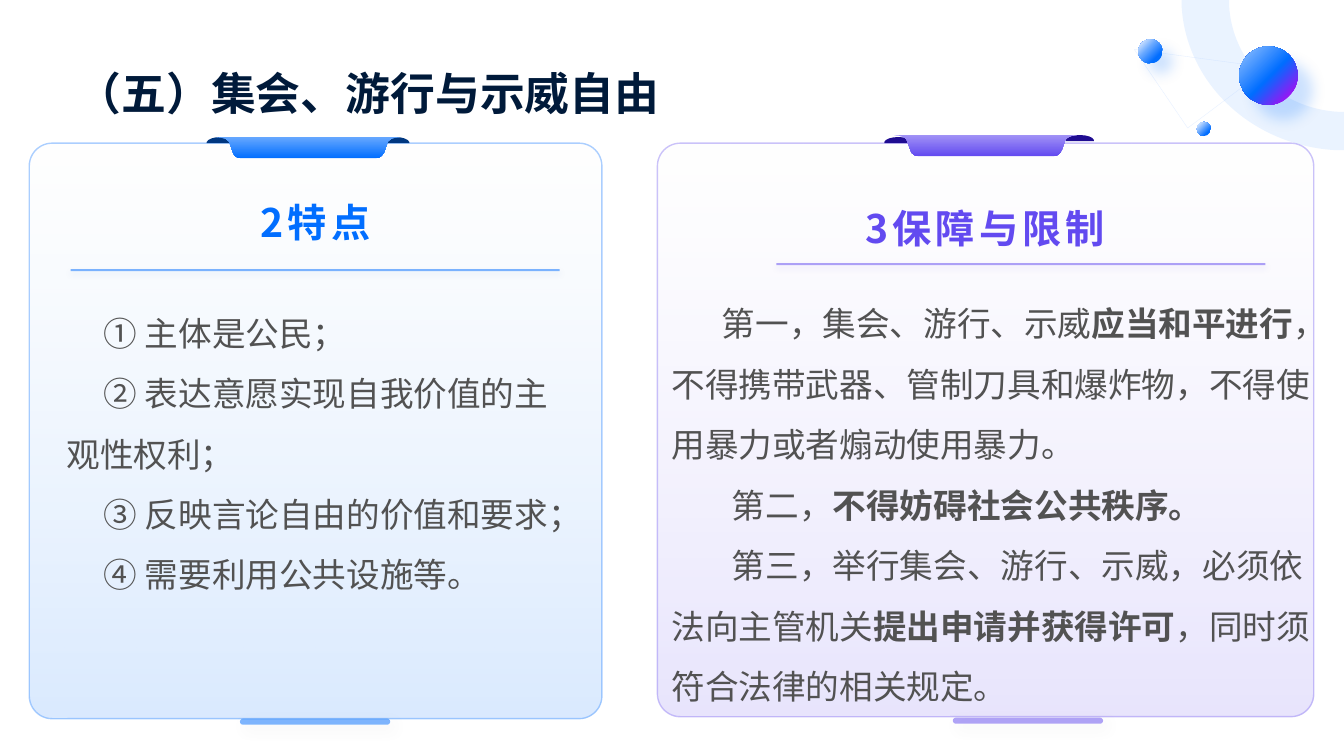
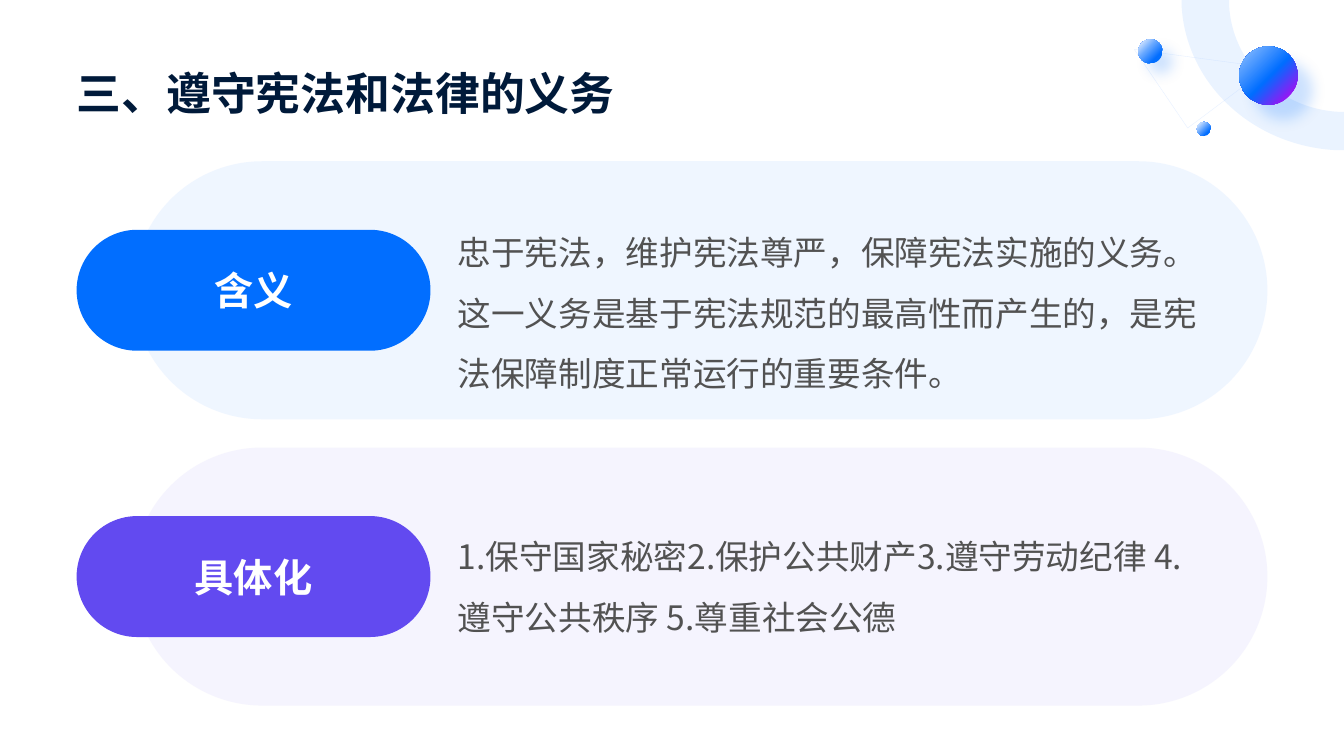
from dataclasses import dataclass

from lxml.etree import SubElement
from pptx import Presentation
from pptx.dml.color import RGBColor
from pptx.enum.shapes import MSO_CONNECTOR, MSO_SHAPE
from pptx.enum.text import MSO_ANCHOR, PP_ALIGN
from pptx.oxml import parse_xml
from pptx.oxml.ns import nsdecls, qn
from pptx.util import Inches, Pt

PX = 9144  # one px is a hundredth of an inch


@dataclass(frozen=True)
class Theme:
    page: str = "F7FAFF"
    white: str = "FFFFFF"
    title: str = "001A3A"
    body: str = "525252"
    grey: str = "808080"
    blue: str = "016EFF"
    blue_mid: str = "67A8FF"
    blue_soft: str = "99C5FF"
    blue_pale: str = "CCE2FF"
    blue_dark: str = "003780"
    blue_shade: str = "0052C0"
    violet: str = "624AF0"
    violet_mid: str = "A192F6"
    violet_pale: str = "E0DBFC"
    violet_dark: str = "1F0C91"
    violet_shade: str = "2F12D9"
    magenta: str = "9618F4"
    font: str = "Noto Sans CJK SC"
    title_font: str = "Arial"
    title_size: int = 32
    head_size: int = 28
    body_size: int = 24


T = Theme()


def shape(s, kind, box, fill=(), radial=False, line=None, shadow=None, adj=None):
    """Add a shape. kind: preset, connector, outline or None for a text box.
    fill: (position, colour, alpha) stops; line: (colour, points, alpha);
    shadow: (colour, alpha, blur, distance, angle). An outline is a list of
    points and six-number curves, placed at the corner given by box."""
    emu = [v * PX for v in box]
    if kind is None:
        return s.shapes.add_textbox(*emu)
    if isinstance(kind, list):
        segs = [[(x * PX + emu[0], y * PX + emu[1]) for x, y in zip(seg[::2], seg[1::2])]
                for seg in kind]
        ends = [seg[-1] for seg in segs]
        builder = s.shapes.build_freeform(*ends[0], scale=1.0)
        sp = builder.add_line_segments(ends[1:], close=True).convert_to_shape()
        # Turn the six-number segments into true curves
        for node, seg in zip(list(sp._element.iter(qn("a:lnTo"))), segs[1:]):
            if len(seg) == 3:
                node.tag = qn("a:cubicBezTo")
                node.remove(node[0])
                for x, y in seg:
                    SubElement(node, qn("a:pt"), x=str(x - sp.left), y=str(y - sp.top))
    elif kind == MSO_CONNECTOR.STRAIGHT:
        sp = s.shapes.add_connector(kind, *emu)
    else:
        sp = s.shapes.add_shape(kind, *emu)
        if adj is not None:
            sp.adjustments[0] = adj
    props = sp._element.spPr

    # Fill
    if kind != MSO_CONNECTOR.STRAIGHT:
        sp.fill.background()
        stops = [(pos, f'<a:srgbClr val="{c}"><a:alpha val="{a * 1000}"/></a:srgbClr>')
                 for pos, c, a in fill]
        if len(stops) == 1:
            xml = f'<a:solidFill {nsdecls("a")}>{stops[0][1]}</a:solidFill>'
        elif stops:
            way = ('<a:path path="circle"><a:fillToRect r="100000" b="100000"/></a:path>'
                   if radial else '<a:lin ang="5400000" scaled="0"/>')
            gs = "".join(f'<a:gs pos="{pos * 1000}">{c}</a:gs>' for pos, c in stops)
            xml = f'<a:gradFill {nsdecls("a")}><a:gsLst>{gs}</a:gsLst>{way}</a:gradFill>'
        if stops:
            props.replace(props.find(qn("a:noFill")), parse_xml(xml))

    # Line
    if line:
        color, width, alpha = line
        sp.line.color.rgb = RGBColor.from_string(color)
        sp.line.width = Pt(width)
        clr = props.find(qn("a:ln")).find(".//" + qn("a:srgbClr"))
        SubElement(clr, qn("a:alpha"), val=str(alpha * 1000))
    else:
        sp.line.fill.background()

    # Shadow
    effects = SubElement(props, qn("a:effectLst"))
    if shadow:
        color, alpha, blur, dist, angle = shadow
        outer = SubElement(effects, qn("a:outerShdw"), blurRad=str(Pt(blur)),
                           dist=str(Pt(dist)), dir=str(angle * 60000),
                           algn="ctr", rotWithShape="0")
        clr = SubElement(outer, qn("a:srgbClr"), val=color)
        SubElement(clr, qn("a:alpha"), val=str(alpha * 1000))
    return sp


def text(sp, *paras, size=T.body_size, color=T.body, font=T.font, bold=False,
         align=PP_ALIGN.LEFT, anchor=MSO_ANCHOR.TOP, top=0, spacing=None,
         tracking=0, indents=()):
    """Write paragraphs into a shape; parts between ** marks are bold."""
    tf = sp.text_frame
    tf.word_wrap = True
    tf.vertical_anchor = anchor
    tf.margin_left = tf.margin_right = tf.margin_bottom = 0
    tf.margin_top = top * PX
    for i, para in enumerate(paras):
        p = tf.add_paragraph() if i else tf.paragraphs[0]
        p.alignment = align
        if spacing:
            p.line_spacing = spacing
        if indents:
            p._p.get_or_add_pPr().set("indent", str(indents[i] * PX))
        for j, part in enumerate(para.split("**")):
            if not part:
                continue
            r = p.add_run()
            r.text = part
            r.font.size = Pt(size)
            r.font.bold = bold or j % 2 == 1
            r.font.name = font
            r.font.color.rgb = RGBColor.from_string(color)
            rpr = r._r.get_or_add_rPr()
            rpr.set("lang", "zh-CN")
            SubElement(rpr, qn("a:ea"), typeface=T.font)
            if tracking:
                rpr.set("spc", str(tracking * 100))


prs = Presentation()
prs.slide_width, prs.slide_height = Inches(13.33), Inches(7.5)

# Shared corner ornament
triangle = [(1125, 49), (1258, 67), (1178, 127)]
ring = [(1172, 0), (1219, 0), (1219, 5), (1222, 62, 1269, 108, 1328, 111),
        (1333, 111), (1333, 149), (1326, 149), (1243, 145, 1177, 84, 1172, 7)]
balls = [
    ((1229, 46, 58, 58), ((0, T.blue_soft, 100), (52, T.blue, 100), (85, T.magenta, 100)),
     (T.blue, 20, 10, 15, 45)),
    ((1129, 39, 24, 24), ((12, T.blue_pale, 100), (40, T.blue_mid, 100), (75, T.blue, 100)),
     (T.blue, 20, 10, 10, 45)),
    ((1187, 121, 14, 14), ((13, T.blue_pale, 100), (75, T.blue, 100)), None),
]

# Slides with backdrop, ornament and title
slides = []
for title in ("（五）集会、游行与示威自由", "三、遵守宪法和法律的义务"):
    s = prs.slides.add_slide(prs.slide_layouts[6])
    shape(s, MSO_SHAPE.RECTANGLE, (0, 0, 1333, 750), fill=((0, T.page, 100),))
    shape(s, triangle, (0, 0), line=(T.blue_pale, 0.25, 50))
    shape(s, ring, (0, 0), fill=((0, T.blue_soft, 20),))
    for box, stops, shadow in balls:
        shape(s, MSO_SHAPE.OVAL, box, fill=stops, radial=True, shadow=shadow)
    text(shape(s, None, (76, 39, 1181, 79)), title, size=T.title_size, color=T.title,
         font=T.title_font, bold=True, anchor=MSO_ANCHOR.BOTTOM)
    slides.append(s)

# Slide 1: two clipped cards
ear = [(14, 0), (21, 0, 27, 2, 28, 5), (28, 6), (0, 6), (0, 5), (1, 2, 7, 0, 14, 0)]
tab = [(0, 0), (181, 0), (183, 1, 174, -1, 170, 4), (166, 15),
       (164, 19, 161, 21, 157, 21), (25, 21), (21, 21, 17, 19, 16, 15),
       (12, 4), (8, -1, -2, 1, 0, 0)]
cards = [
    dict(card=(29, 142, 568, 571), ears=((205, 136), (378, 136)), tab=(215, 136),
         foot=(238, 713, 149, 6), head=(66, 184, 494, 72), rule=(70, 268, 555, 268),
         body=(66, 280, 494, 397), title="2特点", indents=(37, 37, 37, 37),
         colors=(T.blue, T.blue_mid, T.blue_dark, T.blue_shade),
         paras=("① 主体是公民；", "② 表达意愿实现自我价值的主观性权利；",
                "③ 反映言论自由的价值和要求；", "④ 需要利用公共设施等。")),
    dict(card=(652, 142, 651, 569), ears=((877, 136), (1057, 134)), tab=(887, 134),
         foot=(945, 712, 149, 6), head=(729, 195, 496, 62), rule=(770, 262, 1255, 262),
         body=(666, 271, 637, 434), title="3保障与限制", indents=(50, 60, 60),
         colors=(T.violet, T.violet_mid, T.violet_dark, T.violet_shade),
         paras=("第一，集会、游行、示威**应当和平进行**，不得携带武器、管制刀具和爆炸物，"
                "不得使用暴力或者煽动使用暴力。",
                "第二，**不得妨碍社会公共秩序。**",
                "第三，举行集会、游行、示威，必须依法向主管机关**提出申请并获得许可**，"
                "同时须符合法律的相关规定。")),
]
s = slides[0]
for c in cards:
    main, mid, dark, shade = c["colors"]
    shape(s, MSO_SHAPE.ROUNDED_RECTANGLE, c["card"], adj=0.04, line=(mid, 1, 55),
          fill=((0, T.white, 10), (100, main, 15)))
    for corner in c["ears"]:
        shape(s, ear, corner, fill=((0, dark, 100),))
    shape(s, tab, c["tab"], fill=((0, mid, 100), (100, main, 100)))
    shape(s, MSO_SHAPE.ROUNDED_RECTANGLE, c["foot"], adj=0.5, fill=((0, main, 50),),
          shadow=(T.grey, 15, 10, 5, 50))
    text(shape(s, None, c["body"]), *c["paras"], top=10, spacing=1.5, indents=c["indents"])
    text(shape(s, None, c["head"]), c["title"], size=T.head_size, color=main, bold=True,
         tracking=3, align=PP_ALIGN.CENTER, anchor=MSO_ANCHOR.MIDDLE)
    shape(s, MSO_CONNECTOR.STRAIGHT, c["rule"], line=(main, 1.5, 50),
          shadow=(shade, 16, 4, 2, 90))

# Slide 2: two labelled bands
bands = [
    ("含义", T.blue, T.blue_pale, 167,
     "忠于宪法，维护宪法尊严，保障宪法实施的义务。这一义务是基于宪法规范的最高性而产生的，"
     "是宪法保障制度正常运行的重要条件。"),
    ("具体化", T.violet, T.violet_pale, 142,
     "1.保守国家秘密2.保护公共财产3.遵守劳动纪律 4.遵守公共秩序 5.尊重社会公德"),
]
s = slides[1]
for i, (label, color, pale, height, body) in enumerate(bands):
    y = 160 + 284 * i
    shape(s, MSO_SHAPE.ROUNDED_RECTANGLE, (132, y, 1125, 256), adj=0.5,
          fill=((0, pale, 30),))
    pill = shape(s, MSO_SHAPE.ROUNDED_RECTANGLE, (76, y + 68, 351, 120), adj=0.5,
                 fill=((0, color, 100),))
    text(pill, label, size=T.head_size, color=T.white, bold=True,
         align=PP_ALIGN.CENTER, anchor=MSO_ANCHOR.MIDDLE)
    text(shape(s, None, (454, y + 57, 749, height)), body, spacing=1.5,
         anchor=MSO_ANCHOR.MIDDLE)

prs.save("out.pptx")
